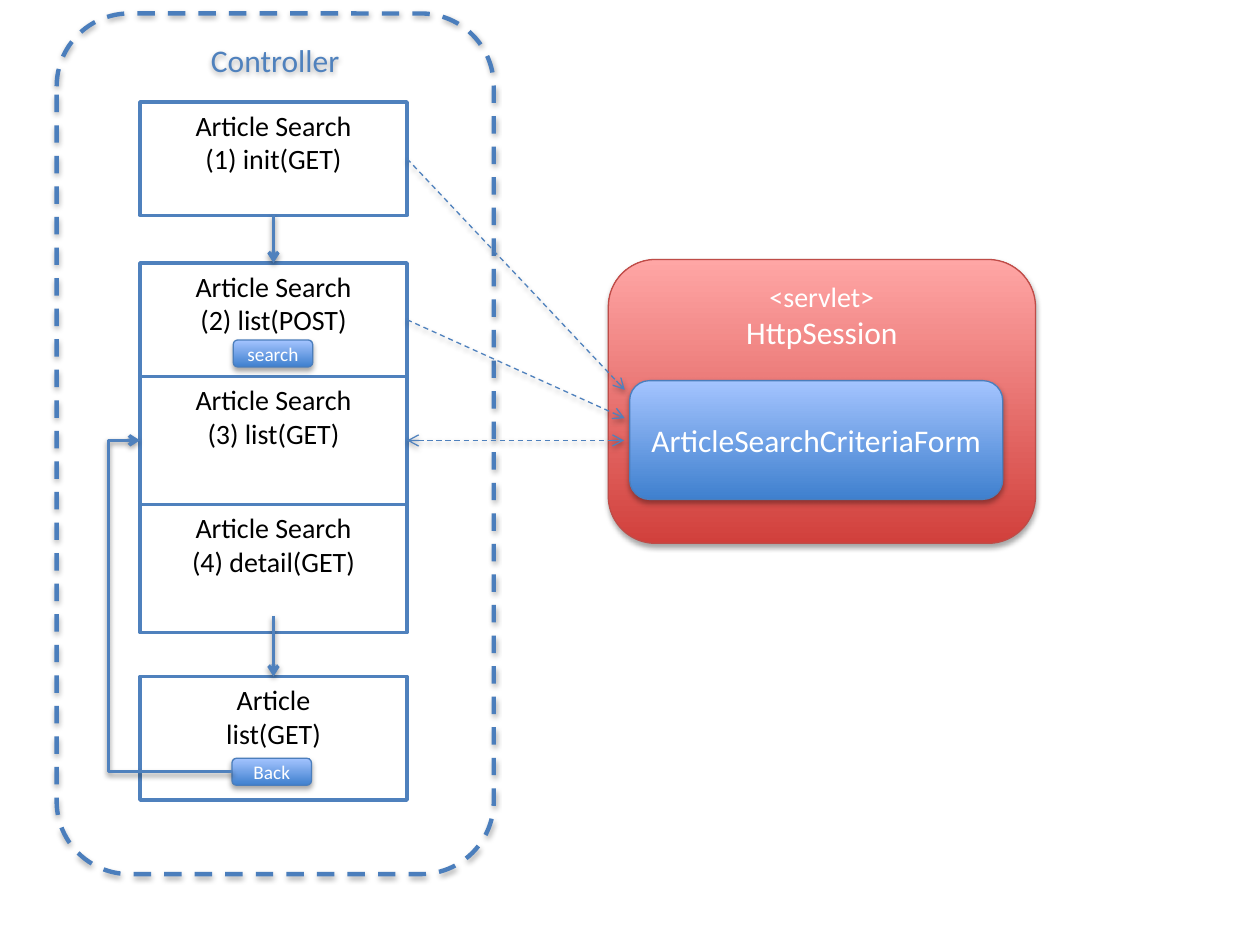
from lxml import etree
from pptx import Presentation
from pptx.dml.color import RGBColor
from pptx.enum.dml import MSO_LINE_DASH_STYLE as DASH
from pptx.enum.shapes import MSO_CONNECTOR as CONN, MSO_SHAPE as SHAPE
from pptx.enum.text import MSO_ANCHOR as ANCHOR, PP_ALIGN as ALIGN
from pptx.oxml.ns import qn
from pptx.util import Pt

FONT = "Calibri"
COLORS = {
    "accent": "4F81BD", "edge": "4B7EBC", "red_edge": "BF4C48",
    "white": "FFFFFF", "black": "000000",
    "blue_dark": "3F80CE", "blue_light": "A4C4FF",
    "red_dark": "D1403C", "red_light": "FFA6A5",
}

# Fill is None, one colour, or a pair of colours from bottom to top.
BLUE = dict(shape=SHAPE.ROUNDED_RECTANGLE, fill=("blue_dark", "blue_light"),
            line="edge", width=0.75, color="white", shadow=True, anchor=ANCHOR.MIDDLE)
STYLES = {
    "frame": dict(shape=SHAPE.ROUNDED_RECTANGLE, fill=None, line="edge", width=2.5,
                  color="accent", shadow=True, anchor=ANCHOR.TOP, dash=DASH.DASH),
    "session": {**BLUE, "fill": ("red_dark", "red_light"), "line": "red_edge",
                "anchor": ANCHOR.TOP},
    "blue": BLUE,
    "step": dict(shape=SHAPE.RECTANGLE, fill="white", line="accent", width=2,
                 color="black", shadow=False, anchor=ANCHOR.TOP),
}

STEP_X, STEP_W = 80, 152.6
BUTTON_W, BUTTON_H = 45.4, 15.4

# name, style, (left, top, width, height), [(text, size), ...]
BOXES = [
    ("controller", "frame", (32.4, 7.7, 249.8, 491.8), [("Controller", 18)]),
    ("session", "session", (347.6, 148.3, 244.1, 162.2),
     [("<servlet>", 16), ("HttpSession", 18)]),
    ("form", "blue", (359.8, 217.5, 213.2, 67.9), [("ArticleSearchCriteriaForm", 18)]),
]

# name, top, height, lines
STEPS = [
    ("article", 386.6, 70.6, ("Article", "list(GET)")),
    ("init", 58.3, 64.8, ("Article Search", "(1) init(GET)")),
    ("post", 150.3, 64.8, ("Article Search", "(2) list(POST)")),
    ("list", 215.1, 73.2, ("Article Search", "(3) list(GET)")),
    ("detail", 288.3, 73.2, ("Article Search", "(4) detail(GET)")),
]
BUTTONS = [("search", 133.3, 194.3), ("Back", 132.6, 433.3)]

# step, end point, arrow at both ends
FORM_LINKS = [
    ("list", (356.6, 251.7), True),
    ("post", (357, 239), False),
    ("init", (357, 222.8), False),
]
BACK_BEND = 1.342


def rgb(name):
    return RGBColor.from_string(COLORS[name])


def set_shadow(s, alpha=None, dist=1.8):
    """Give the shape a soft shadow below it, or none without alpha."""
    pr = s._element.spPr
    for old in pr.findall(qn("a:effectLst")):
        pr.remove(old)
    effects = etree.SubElement(pr, qn("a:effectLst"))
    if alpha is None:
        return
    shadow = etree.SubElement(effects, qn("a:outerShdw"), blurRad=str(Pt(3.1)),
                              dist=str(Pt(dist)), dir="5400000", rotWithShape="0")
    color = etree.SubElement(shadow, qn("a:srgbClr"), val=COLORS["black"])
    etree.SubElement(color, qn("a:alpha"), val=str(alpha * 1000))


def set_fill(fill, value):
    if value is None:
        fill.background()
    elif isinstance(value, str):
        fill.solid()
        fill.fore_color.rgb = rgb(value)
    else:
        fill.gradient()
        fill.gradient_angle = 90
        for stop, name in zip(fill.gradient_stops, value):
            stop.color.rgb = rgb(name)


def add_box(shapes, style, box, lines):
    look = STYLES[style]
    s = shapes.add_shape(look["shape"], *map(Pt, box))
    set_fill(s.fill, look["fill"])
    s.line.color.rgb = rgb(look["line"])
    s.line.width = Pt(look["width"])
    if "dash" in look:
        s.line.dash_style = look["dash"]
    set_shadow(s, 35 if look["shadow"] else None)
    tf = s.text_frame
    tf.word_wrap = False
    tf.vertical_anchor = look["anchor"]
    for i, (text, size) in enumerate(lines):
        p = tf.add_paragraph() if i else tf.paragraphs[0]
        p.alignment = ALIGN.CENTER
        r = p.add_run()
        r.text = text
        r.font.color.rgb = rgb(look["color"])
        for key, value in {"name": FONT, "size": Pt(size)}.items():
            setattr(r.font, key, value)
    return s


def add_arrow(shapes, start, end, kind=CONN.STRAIGHT, dashed=False, both=False):
    c = shapes.add_connector(kind, *start, *end)
    c.line.color.rgb = rgb("accent")
    c.line.width = Pt(0.75 if dashed else 2)
    if dashed:
        c.line.dash_style = DASH.DASH
    ln = c.line._get_or_add_ln()
    for tag in ("a:headEnd", "a:tailEnd") if both else ("a:tailEnd",):
        etree.SubElement(ln, qn(tag), type="arrow")
    set_shadow(c, 38, 1.6)
    return c


def side(s, index):
    """Middle of a side: 0 top, 1 left, 2 bottom, 3 right."""
    x, y = [(1, 0), (0, 1), (1, 2), (2, 1)][index]
    return s.left + s.width * x // 2, s.top + s.height * y // 2


def main():
    prs = Presentation()
    prs.slide_width, prs.slide_height = Pt(720), Pt(540)
    shapes = prs.slides.add_slide(prs.slide_layouts[6]).shapes

    boxes = {name: add_box(shapes, style, box, lines)
             for name, style, box, lines in BOXES}
    for name, top, height, lines in STEPS:
        boxes[name] = add_box(shapes, "step", (STEP_X, top, STEP_W, height),
                              [(text, 16) for text in lines])
    for name, left, top in BUTTONS:
        boxes[name] = add_box(shapes, "blue", (left, top, BUTTON_W, BUTTON_H), [(name, 11)])

    c = add_arrow(shapes, side(boxes["init"], 2), side(boxes["post"], 0))
    c.begin_connect(boxes["init"], 2)
    c.end_connect(boxes["post"], 0)

    x, y = side(boxes["article"], 0)
    c = add_arrow(shapes, (x, y - Pt(34.6)), (x, y))
    c.end_connect(boxes["article"], 0)

    c = add_arrow(shapes, side(boxes["Back"], 1), side(boxes["list"], 1), CONN.ELBOW)
    guides = c._element.spPr.find(qn("a:prstGeom")).find(qn("a:avLst"))
    etree.SubElement(guides, qn("a:gd"), name="adj1", fmla=f"val {round(BACK_BEND * 100000)}")

    for name, end, both in FORM_LINKS:
        c = add_arrow(shapes, side(boxes[name], 3), tuple(map(Pt, end)),
                      dashed=True, both=both)
        c.begin_connect(boxes[name], 3)

    prs.save("out.pptx")


if __name__ == "__main__":
    main()
